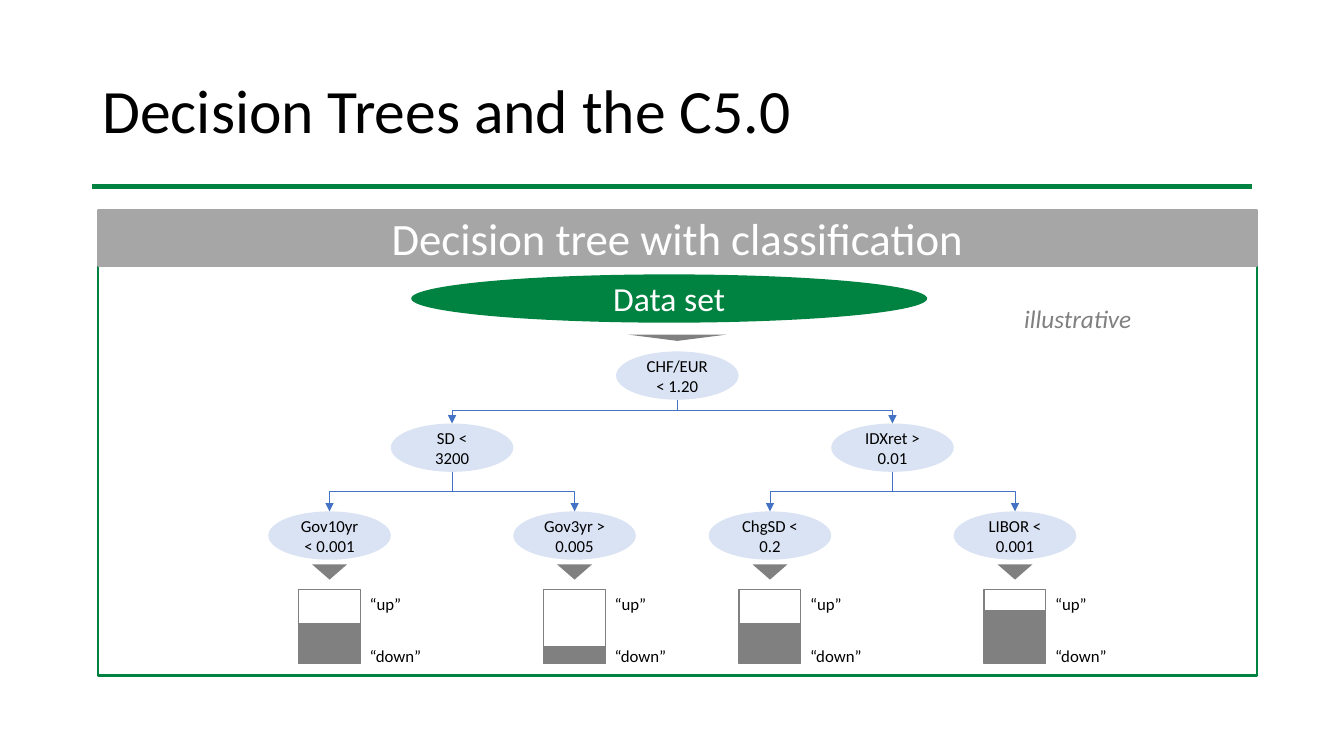
"""Build the decision tree slide."""
from dataclasses import dataclass

from pptx import Presentation
from pptx import util as u
from pptx.dml.color import RGBColor
from pptx.enum import shapes, text
from pptx.oxml import ns, xmlchemy
from pptx.slide import Slide


@dataclass(frozen=True)
class Theme:
    font: str = "Calibri"
    green: str = "008240"
    banner: str = "A6A6A6"
    grey: str = "808080"
    node: str = "DAE3F3"
    arrow: str = "4472C4"
    white: str = "FFFFFF"
    black: str = "000000"
    title_size: int = 44
    banner_size: int = 32
    data_size: int = 24
    note_size: int = 18
    small_size: int = 12


def write(frame, words, *, size, color, font, italic=None,
          align=text.PP_ALIGN.LEFT, anchor=text.MSO_ANCHOR.TOP, spacing=None):
    frame.word_wrap = True
    frame.vertical_anchor = anchor
    para = frame.paragraphs[0]
    para.alignment = align
    para.line_spacing = spacing
    span = para.add_run()
    span.text = words
    span.font.name = font
    span.font.size = u.Pt(size)
    span.font.italic = italic
    span.font.color.rgb = RGBColor.from_string(color)


def add_xml(parent, tag, **attributes):
    child = xmlchemy.OxmlElement(tag)
    for name, value in attributes.items():
        child.set(name, value)
    parent.append(child)


@dataclass
class Painter:
    theme: Theme
    page: Slide

    def title(self, words, left, top, width, height):
        box = self.page.shapes.title
        box.left, box.top, box.width, box.height = map(u.Pt, (left, top, width, height))
        write(box.text_frame, words, size=self.theme.title_size, color=self.theme.black,
              font=self.theme.font, anchor=text.MSO_ANCHOR.MIDDLE, spacing=0.9)

    def shape(self, kind, left, top, width, height, fill=None, line=None, weight=1):
        box = self.page.shapes.add_shape(kind, *map(u.Pt, (left, top, width, height)))
        box.shadow.inherit = False
        if fill:
            box.fill.solid()
            box.fill.fore_color.rgb = RGBColor.from_string(fill)
        else:
            box.fill.background()
        if line:
            box.line.color.rgb = RGBColor.from_string(line)
            box.line.width = u.Pt(weight)
        else:
            box.line.fill.background()
        return box

    def rectangle(self, *place, **style):
        return self.shape(shapes.MSO_SHAPE.RECTANGLE, *place, **style)

    def caption(self, box, words, size, color):
        write(box.text_frame, words, size=size, color=color, font=self.theme.font,
              align=text.PP_ALIGN.CENTER, anchor=text.MSO_ANCHOR.MIDDLE)

    def ellipse(self, words, center, top, width, height, fill, size, color):
        box = self.shape(shapes.MSO_SHAPE.OVAL, center - width / 2, top, width, height, fill=fill)
        self.caption(box, words, size, color)

    def node(self, words, center, top):
        self.ellipse(words, center, top, NODE_WIDTH, NODE_HEIGHT, self.theme.node,
                     self.theme.small_size, self.theme.black)

    def pointer(self, center, top, width, height):
        box = self.shape(shapes.MSO_SHAPE.ISOSCELES_TRIANGLE, center - width / 2, top,
                         width, height, fill=self.theme.grey)
        box.rotation = 180

    def label(self, words, left, top, width, height, size, color, italic=None):
        box = self.page.shapes.add_textbox(*map(u.Pt, (left, top, width, height)))
        write(box.text_frame, words, size=size, color=color, font=self.theme.font, italic=italic)
        box.text_frame.auto_size = text.MSO_AUTO_SIZE.SHAPE_TO_FIT_TEXT

    def connector(self, kind, ends, color, weight):
        line = self.page.shapes.add_connector(kind, *map(u.Pt, ends))
        line.line.color.rgb = RGBColor.from_string(color)
        line.line.width = u.Pt(weight)
        add_xml(line.element.spPr, "a:effectLst")
        return line

    def branch(self, start_x, start_y, end_x, end_y, bend):
        middle_x, middle_y = (start_x + end_x) / 2, (start_y + end_y) / 2
        half_width, half_height = (end_y - start_y) / 2, abs(end_x - start_x) / 2
        ends = (middle_x - half_width, middle_y - half_height,
                middle_x + half_width, middle_y + half_height)
        line = self.connector(shapes.MSO_CONNECTOR.ELBOW, ends, self.theme.arrow, 0.5)
        frame = line.element.spPr.xfrm
        if end_x > start_x:
            frame.set("rot", "16200000")
            frame.set("flipH", "1")
        else:
            frame.set("rot", "5400000")
        guides = line.element.spPr.find(ns.qn("a:prstGeom")).find(ns.qn("a:avLst"))
        add_xml(guides, "a:gd", name="adj1", fmla=f"val {round(bend * 100000)}")
        add_xml(line.line._get_or_add_ln(), "a:tailEnd", type="triangle")

    def split_bar(self, center, up_height):
        left = center - BAR_WIDTH / 2
        parts = ((BAR_TOP, up_height, self.theme.white),
                 (BAR_TOP + up_height, BAR_HEIGHT - up_height, self.theme.grey))
        for top, height, fill in parts:
            self.rectangle(left, top, BAR_WIDTH, height, fill=fill, line=self.theme.grey)
        for words, top in (("“up”", BAR_TOP - 0.5), ("“down”", BAR_TOP + 36.5)):
            self.label(words, center + 21.5, top, 59, 21.8,
                       self.theme.small_size, self.theme.black)


NODE_WIDTH, NODE_HEIGHT = 87.5, 34.5
LEVEL_TOPS = (251, 302.5, 365.3)
BAR_TOP, BAR_WIDTH, BAR_HEIGHT = 421.2, 44, 52.6
ROOT_CENTER = 483.8
BRANCHES = (
    ("SD < 3200", 322.9, (("Gov10yr < 0.001", 24.5), ("Gov3yr > 0.005", 41))),
    ("IDXret > 0.01", 637.5, (("ChgSD < 0.2", 24.5), ("LIBOR < 0.001", 15))),
)


def draw_tree(painter):
    root_top, branch_top, leaf_top = LEVEL_TOPS
    painter.node("CHF/EUR < 1.20", ROOT_CENTER, root_top)
    for words, center, leaves in BRANCHES:
        painter.node(words, center, branch_top)
        painter.branch(ROOT_CENTER, root_top + NODE_HEIGHT, center, branch_top, 0.43)
        for side, (rule, up_height) in zip((-1, 1), leaves):
            leaf_center = center + side * NODE_WIDTH
            painter.node(rule, leaf_center, leaf_top)
            painter.branch(center, branch_top + NODE_HEIGHT, leaf_center, leaf_top, 0.5)
            painter.pointer(leaf_center, 403.2, 24.8, 10.8)
            painter.split_bar(leaf_center, up_height)


def main():
    deck = Presentation()
    deck.slide_width, deck.slide_height = u.Pt(960), u.Pt(540)
    theme = Theme()
    painter = Painter(theme, deck.slides.add_slide(deck.slide_layouts[5]))
    painter.title("Decision Trees and the C5.0", 66, 28.8, 828, 104.4)
    painter.connector(shapes.MSO_CONNECTOR.STRAIGHT, (66, 133.5, 894, 133.5), theme.green, 3.5)
    painter.rectangle(70, 189.5, 828, 293, line=theme.green, weight=2)
    banner = painter.rectangle(70, 150.5, 828, 39, fill=theme.banner, line=theme.banner, weight=2)
    painter.caption(banner, "Decision tree with classification", theme.banner_size, theme.white)
    painter.ellipse("Data set", 478, 196, 368.6, NODE_HEIGHT, theme.green,
                    theme.data_size, theme.white)
    painter.pointer(ROOT_CENTER, 239, 70.5, 4.5)
    draw_tree(painter)
    painter.label("illustrative", 724.5, 213, 96.5, 29, theme.note_size, theme.grey, italic=True)
    deck.save("out.pptx")


if __name__ == "__main__":
    main()
